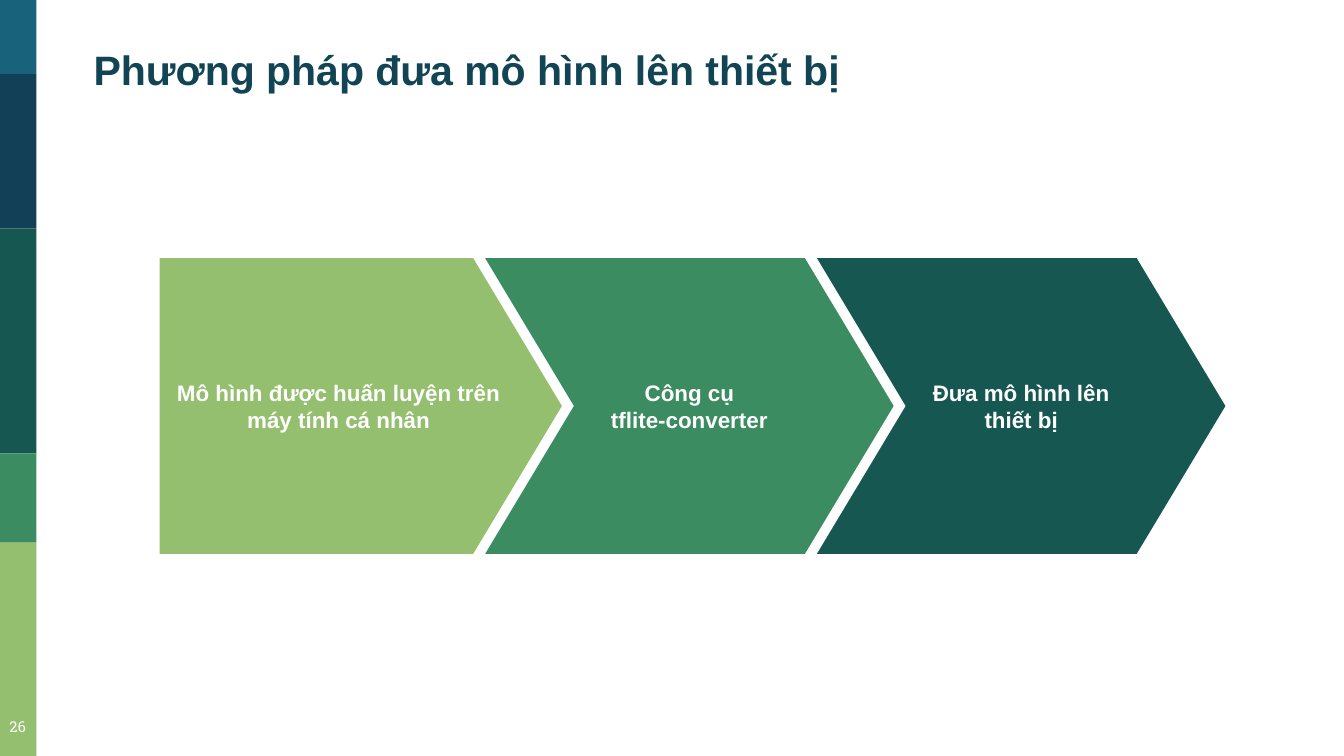
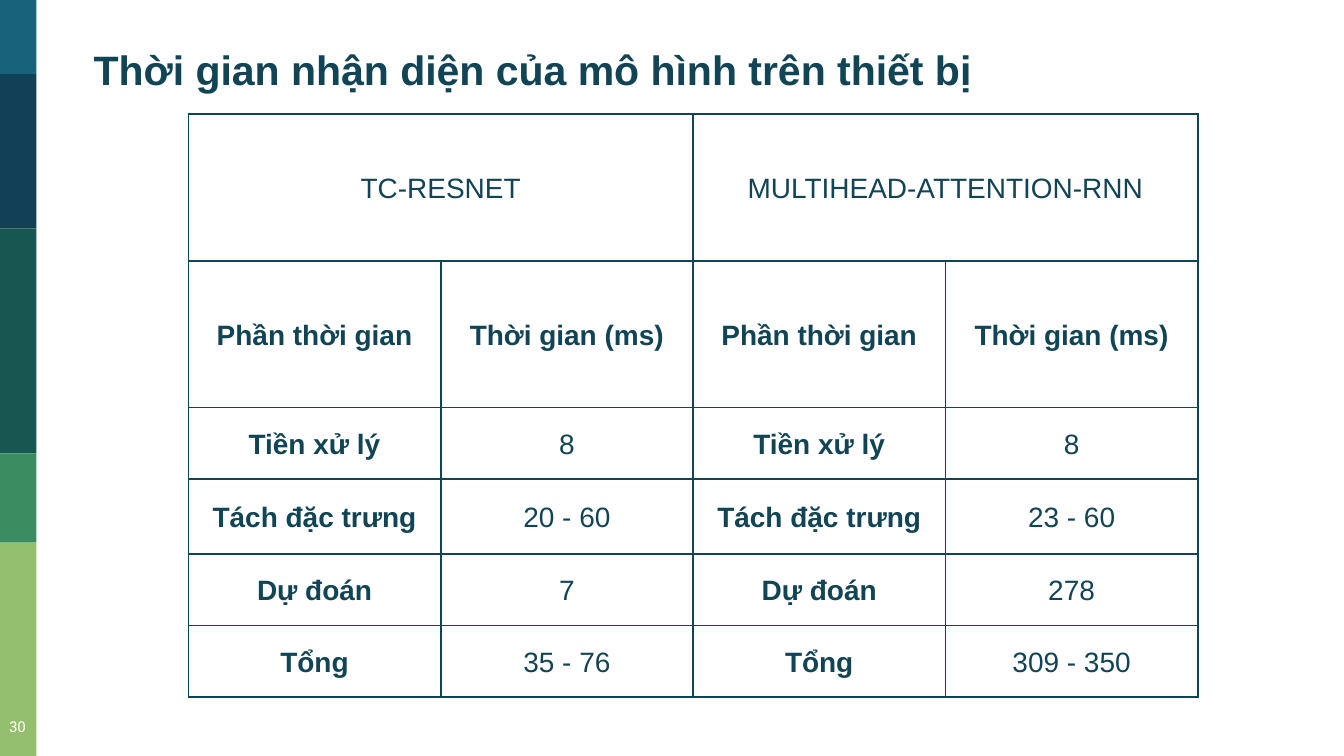
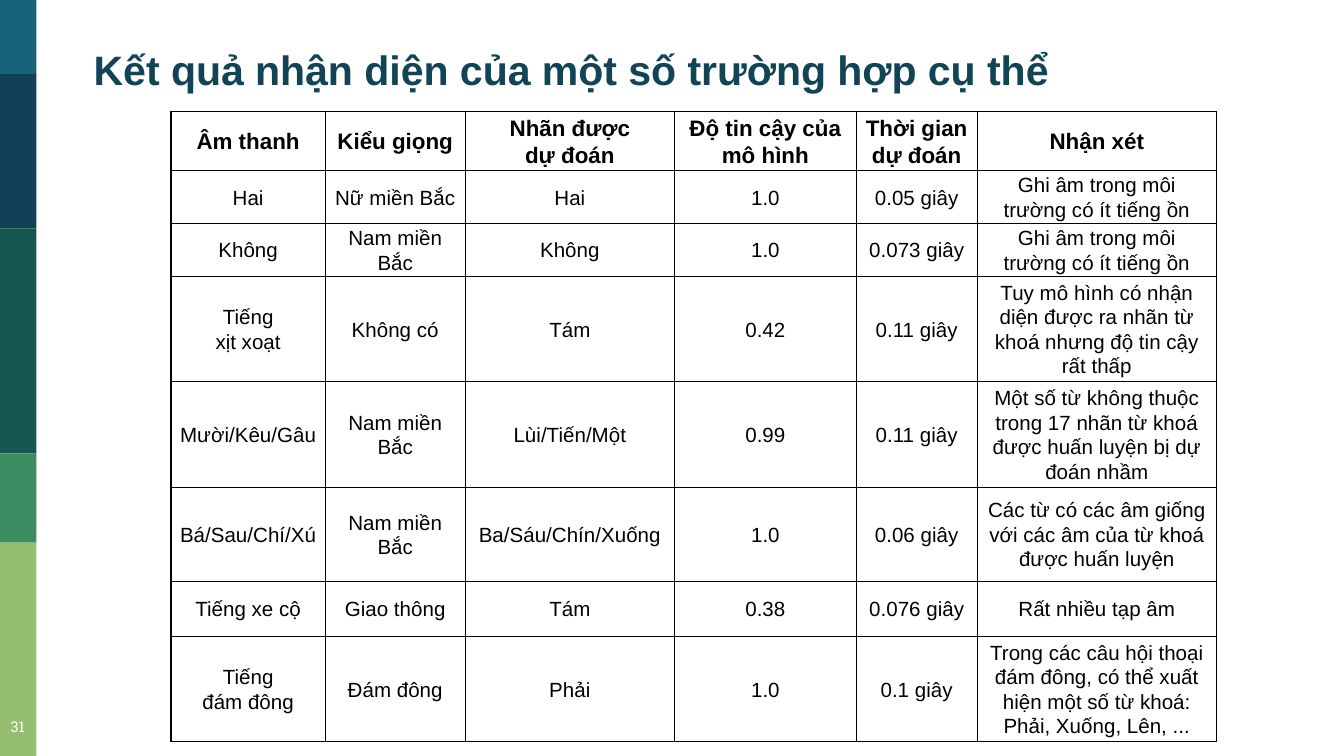
import dataclasses

import pptx
import pptx.dml.color
import pptx.enum.shapes
import pptx.enum.text
import pptx.oxml
import pptx.oxml.ns
import pptx.util

Cm = pptx.util.Cm
Pt = pptx.util.Pt
RGB = pptx.dml.color.RGBColor.from_string
ALIGN = pptx.enum.text.PP_ALIGN
ANCHOR = pptx.enum.text.MSO_ANCHOR
PRESET = pptx.enum.shapes.MSO_SHAPE


@dataclasses.dataclass(frozen=True)
class Theme:
    font: str = "Arial"
    page_font: str = "Roboto Slab"
    white: str = "FFFFFF"
    black: str = "000000"
    ink: str = "114454"
    blue: str = "18637B"
    navy: str = "124057"
    pine: str = "165751"
    green: str = "3B8D61"
    lime: str = "94BF6E"
    title_size: float = 22
    timing_size: float = 15
    heading_size: float = 12
    body_size: float = 11
    page_size: float = 8


THEME = Theme()
SLIDE_WIDTH, SLIDE_HEIGHT = 25.4, 14.29
BAND_WIDTH = 0.69

# Top edge and colour; each band reaches down to the next one.
BANDS = [(0, THEME.blue), (1.4, THEME.navy), (4.32, THEME.pine),
         (8.57, THEME.green), (10.26, THEME.lime)]

DEPLOYMENT = {
    "page": "26",
    "title": "Phương pháp đưa mô hình lên thiết bị",
    "steps": [
        ("Mô hình được huấn luyện trên máy tính cá nhân",
         PRESET.PENTAGON, 7.6, THEME.lime),
        ("Công cụ\ntflite-converter", PRESET.CHEVRON, 7.72, THEME.green),
        ("Đưa mô hình lên thiết bị", PRESET.CHEVRON, 7.72, THEME.pine),
    ],
}

TIMING = {
    "page": "30",
    "title": "Thời gian nhận diện của mô hình trên thiết bị",
    "models": ["TC-RESNET", "MULTIHEAD-ATTENTION-RNN"],
    "headings": ["Phần thời gian", "Thời gian (ms)"],
    "stages": [
        ("Tiền xử lý", "8", "8"),
        ("Tách đặc trưng", "20 - 60", "23 - 60"),
        ("Dự đoán", "7", "278"),
        ("Tổng", "35 - 76", "309 - 350"),
    ],
    "columns": [4.77] * 4,
    "heights": [2.77, 2.77, 1.35, 1.42, 1.35, 1.35],
}

RESULTS = {
    "page": "31",
    "title": "Kết quả nhận diện của một số trường hợp cụ thể",
    "rows": [
        ("Âm thanh", "Kiểu giọng", "Nhãn được\ndự đoán",
         "Độ tin cậy của\nmô hình", "Thời gian\ndự đoán", "Nhận xét"),
        ("Hai", "Nữ miền Bắc", "Hai", "1.0", "0.05 giây",
         "Ghi âm trong môi trường có ít tiếng ồn"),
        ("Không", "Nam miền Bắc", "Không", "1.0", "0.073 giây",
         "Ghi âm trong môi trường có ít tiếng ồn"),
        ("Tiếng\nxịt xoạt", "Không có", "Tám", "0.42", "0.11 giây",
         "Tuy mô hình có nhận diện được ra nhãn từ khoá nhưng độ tin cậy rất thấp"),
        ("Mười/Kêu/Gâu", "Nam miền Bắc", "Lùi/Tiến/Một", "0.99", "0.11 giây",
         "Một số từ không thuộc trong 17 nhãn từ khoá được huấn luyện bị dự đoán nhầm"),
        ("Bá/Sau/Chí/Xú", "Nam miền Bắc", "Ba/Sáu/Chín/Xuống", "1.0", "0.06 giây",
         "Các từ có các âm giống với các âm của từ khoá được huấn luyện"),
        ("Tiếng xe cộ", "Giao thông", "Tám", "0.38", "0.076 giây",
         "Rất nhiều tạp âm"),
        ("Tiếng\nđám đông", "Đám đông", "Phải", "1.0", "0.1 giây",
         "Trong các câu hội thoại đám đông, có thể xuất hiện một số từ khoá: "
         "Phải, Xuống, Lên, ..."),
    ],
    "columns": [2.92, 2.64, 3.96, 3.43, 2.29, 4.52],
    "heights": [1.12, 0.94, 0.94, 1.88, 1.88, 1.78, 1.04, 1.88],
}


def write(frame, text, *, size, color, bold=False, font=THEME.font,
          align=ALIGN.CENTER, spacing=None, before=None):
    """Fill a text frame, one paragraph for each line of text."""
    frame.word_wrap = True
    frame.text = text
    for paragraph in frame.paragraphs:
        paragraph.alignment = align
        paragraph.line_spacing = spacing
        if before is not None:
            paragraph.space_before = Pt(before)
        for run in paragraph.runs:
            run.font.name = font
            run.font.size = Pt(size)
            run.font.bold = bold
            run.font.color.rgb = RGB(color)


def set_insets(holder, horizontal, vertical):
    holder.margin_left = holder.margin_right = Cm(horizontal)
    holder.margin_top = holder.margin_bottom = Cm(vertical)


def add_block(slide, preset, left, top, width, height, color):
    block = slide.shapes.add_shape(preset, Cm(left), Cm(top), Cm(width), Cm(height))
    block.shadow.inherit = False
    block.fill.solid()
    block.fill.fore_color.rgb = RGB(color)
    block.line.fill.background()
    return block


def add_bands(slide):
    """Draw the side bands and move them to the layout all slides share."""
    bottoms = [top for top, _ in BANDS[1:]] + [SLIDE_HEIGHT]
    for (top, color), bottom in zip(BANDS, bottoms):
        band = add_block(slide, PRESET.RECTANGLE, 0, top, BAND_WIDTH, bottom - top, color)
        slide.slide_layout.shapes.element.append(band.element)


def add_slide(deck, content):
    slide = deck.slides.add_slide(deck.slide_layouts[5])
    title = slide.shapes.title
    title.left, title.top, title.width, title.height = Cm(1.52), Cm(0.69), Cm(23.09), Cm(1.25)
    set_insets(title.text_frame, 0.25, 0.13)
    title.text_frame.auto_size = pptx.enum.text.MSO_AUTO_SIZE.NONE
    title.text_frame.vertical_anchor = ANCHOR.MIDDLE
    write(title.text_frame, content["title"], size=THEME.title_size, color=THEME.ink,
          bold=True, align=ALIGN.JUSTIFY)

    page = slide.shapes.add_textbox(Cm(-0.15), Cm(13.39), Cm(0.97), Cm(0.89))
    set_insets(page.text_frame, 0.25, 0.25)
    write(page.text_frame, content["page"], size=THEME.page_size, color=THEME.white,
          font=THEME.page_font)
    return slide


def add_steps(slide, steps, left=3.02, top=4.88, height=5.59, overlap=1.45):
    for text, preset, width, color in steps:
        step = add_block(slide, preset, left, top, width, height, color)
        step.adjustments[0] = 0.3
        set_insets(step.text_frame, 0.25, 0.25)
        step.text_frame.vertical_anchor = ANCHOR.MIDDLE
        write(step.text_frame, text, size=THEME.heading_size, color=THEME.white, bold=True)
        left += width - overlap


def set_borders(cell, color, width):
    properties = cell._tc.get_or_add_tcPr()
    for side in "LRTB":
        properties.append(pptx.oxml.parse_xml(
            f'<a:ln{side} {pptx.oxml.ns.nsdecls("a")} w="{Pt(width)}">'
            f'<a:solidFill><a:srgbClr val="{color}"/></a:solidFill></a:ln{side}>'))


def add_grid(slide, rows, content, left, top, *, color, border, inset, style):
    """Add a table; style(row, column) gives the text format of a cell."""
    columns, heights = content["columns"], content["heights"]
    grid = slide.shapes.add_table(len(rows), len(columns), Cm(left), Cm(top),
                                  Cm(sum(columns)), Cm(sum(heights))).table
    grid.first_row = grid.horz_banding = False
    for column, width in zip(grid.columns, columns):
        column.width = Cm(width)
    for row, height in zip(grid.rows, heights):
        row.height = Cm(height)
    for r, texts in enumerate(rows):
        for c, text in enumerate(texts):
            cell = grid.cell(r, c)
            set_borders(cell, color, border)
            cell.fill.solid()
            cell.fill.fore_color.rgb = RGB(THEME.white)
            cell.vertical_anchor = ANCHOR.MIDDLE
            set_insets(cell, inset, 0)
            if text:
                write(cell.text_frame, text, color=color, **style(r, c))
    return grid


def add_timing(slide, content):
    def style(row, column):
        bold = row == 1 or (row > 1 and column % 2 == 0)
        return dict(size=THEME.timing_size, bold=bold, spacing=1.1, before=3)

    first, second = content["models"]
    rows = [(first, "", second, ""), content["headings"] * 2]
    rows += [(stage, a, stage, b) for stage, a, b in content["stages"]]
    grid = add_grid(slide, rows, content, 3.56, 2.16, color=THEME.ink, border=1,
                    inset=0.18, style=style)
    for column in (0, 2):
        grid.cell(0, column).merge(grid.cell(0, column + 1))


def add_results(slide, content):
    def style(row, column):
        heading = row == 0
        return dict(size=THEME.heading_size if heading else THEME.body_size,
                    bold=heading, spacing=1.07)

    add_grid(slide, content["rows"], content, 3.23, 2.11, color=THEME.black,
             border=0.75, inset=0.13, style=style)


def main():
    deck = pptx.Presentation()
    deck.slide_width, deck.slide_height = Cm(SLIDE_WIDTH), Cm(SLIDE_HEIGHT)
    deployment = add_slide(deck, DEPLOYMENT)
    add_bands(deployment)
    add_steps(deployment, DEPLOYMENT["steps"])
    add_timing(add_slide(deck, TIMING), TIMING)
    add_results(add_slide(deck, RESULTS), RESULTS)
    deck.save("out.pptx")


if __name__ == "__main__":
    main()
